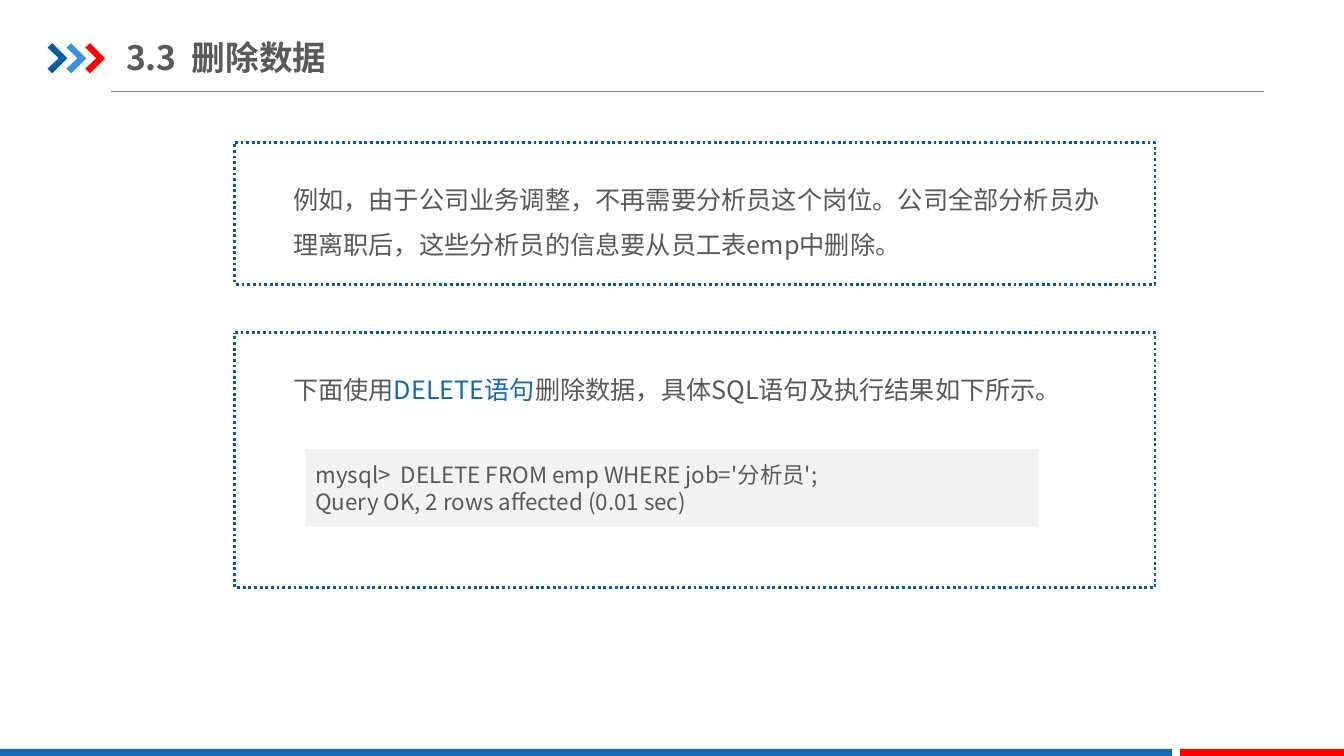
"""Build the slide on deleting data with the SQL DELETE statement."""
import pptx
import pptx.util
import pptx.dml.color
import pptx.enum.dml
import pptx.enum.shapes
import pptx.enum.text
import pptx.oxml
import pptx.oxml.ns

Cm, Pt = pptx.util.Cm, pptx.util.Pt
Kind = pptx.enum.shapes.MSO_SHAPE
Anchor = pptx.enum.text.MSO_ANCHOR
Fit = pptx.enum.text.MSO_AUTO_SIZE
FONT = "Noto Sans CJK SC"
HUES = {
    "navy": "005DA2", "sky": "3992DB", "red": "FF0000", "blue": "1369B2",
    "gray": "808080", "text": "595959", "pale": "F2F2F2", "white": "FFFFFF",
}


def paint(shape, hue, edge=None):
    """Fill a shape and give it a dotted edge or none."""
    shape.shadow.inherit = False
    shape.fill.solid()
    shape.fill.fore_color.rgb = pptx.dml.color.RGBColor.from_string(HUES[hue])
    if edge:
        shape.line.color.rgb = pptx.dml.color.RGBColor.from_string(HUES[edge])
        shape.line.width = Pt(2)
        shape.line.dash_style = pptx.enum.dml.MSO_LINE.ROUND_DOT
    else:
        shape.line.fill.background()


def write(frame, lines, size, space=None, bold=None):
    """Write lines, each a list of (text, hue) runs."""
    frame.word_wrap = True
    for i, line in enumerate(lines):
        para = frame.add_paragraph() if i else frame.paragraphs[0]
        para.alignment = pptx.enum.text.PP_ALIGN.LEFT
        para.line_spacing = space
        for text, hue in line:
            run = para.add_run()
            run.text = text
            run.font.name = FONT
            run.font.size = Pt(size)
            run.font.bold = bold
            run.font.color.rgb = pptx.dml.color.RGBColor.from_string(HUES[hue])
            east = pptx.oxml.parse_xml(
                f'<a:ea {pptx.oxml.ns.nsdecls("a")} typeface="{FONT}"/>')
            run.font._element.append(east)


deck = pptx.Presentation()
deck.slide_width, deck.slide_height = Cm(33.87), Cm(19.05)
slide = deck.slides.add_slide(deck.slide_layouts[6])
shapes = slide.shapes

rule = shapes.add_connector(
    pptx.enum.shapes.MSO_CONNECTOR.STRAIGHT, Cm(2.79), Cm(2.31), Cm(31.85), Cm(2.31))
rule.line.color.rgb = pptx.dml.color.RGBColor.from_string(HUES["gray"])
rule.line.width = Pt(0.75)
rule._element.spPr.append(
    pptx.oxml.parse_xml(f'<a:effectLst {pptx.oxml.ns.nsdecls("a")}/>'))

ARROW = [(0, 0.11), (0.12, 0), (0.5, 0.38), (0.12, 0.76), (0, 0.64), (0.28, 0.38)]
for i, hue in enumerate(["navy", "sky", "red"]):
    points = [(Cm(1.2 + 0.475 * i + x), Cm(1.09 + y)) for x, y in ARROW]
    pen = shapes.build_freeform(*points[0])
    pen.add_line_segments(points[1:], close=True)
    paint(pen.convert_to_shape(), hue)

for left, width, hue in [(0, 29.54, "blue"), (29.74, 4.13, "red")]:
    bar = shapes.add_shape(Kind.RECTANGLE, Cm(left), Cm(18.87), Cm(width), Cm(0.22))
    paint(bar, hue)

title = shapes.add_textbox(Cm(3.18), Cm(0.74), Cm(10.82), Cm(1.4)).text_frame
title.margin_left = title.margin_right = 0
title.margin_top = title.margin_bottom = Cm(0.18)
title.vertical_anchor = Anchor.MIDDLE
write(title, [[("3.3  删除数据", "text")]], 24, bold=True)

PANELS = [
    (3.6, 3.56, 2.57, [
        ("例如，由于公司业务调整，不再需要分析员这个岗位。公司全部分析员办理离职后，"
         "这些分析员的信息要从员工表emp中删除。", "text")]),
    (8.38, 6.43, 1.4, [
        ("下面使用", "text"), ("DELETE语句", "blue"),
        ("删除数据，具体SQL语句及执行结果如下所示。", "text")]),
]
for top, height, tall, runs in PANELS:
    panel = shapes.add_shape(
        Kind.FLOWCHART_PROCESS, Cm(5.92), Cm(top), Cm(23.19), Cm(height))
    paint(panel, "white", "navy")
    note = shapes.add_textbox(Cm(7.14), Cm(top + 0.54), Cm(20.85), Cm(tall)).text_frame
    note.auto_size = Fit.SHAPE_TO_FIT_TEXT
    write(note, [runs], 18, space=1.5)

code = shapes.add_shape(Kind.RECTANGLE, Cm(7.7), Cm(11.32), Cm(18.46), Cm(1.95))
paint(code, "pale")
code.text_frame.vertical_anchor = Anchor.MIDDLE
write(code.text_frame, [
    [("mysql>  DELETE FROM emp WHERE job='分析员';", "text")],
    [("Query OK, 2 rows affected (0.01 sec)", "text")],
], 16)

deck.save("out.pptx")
